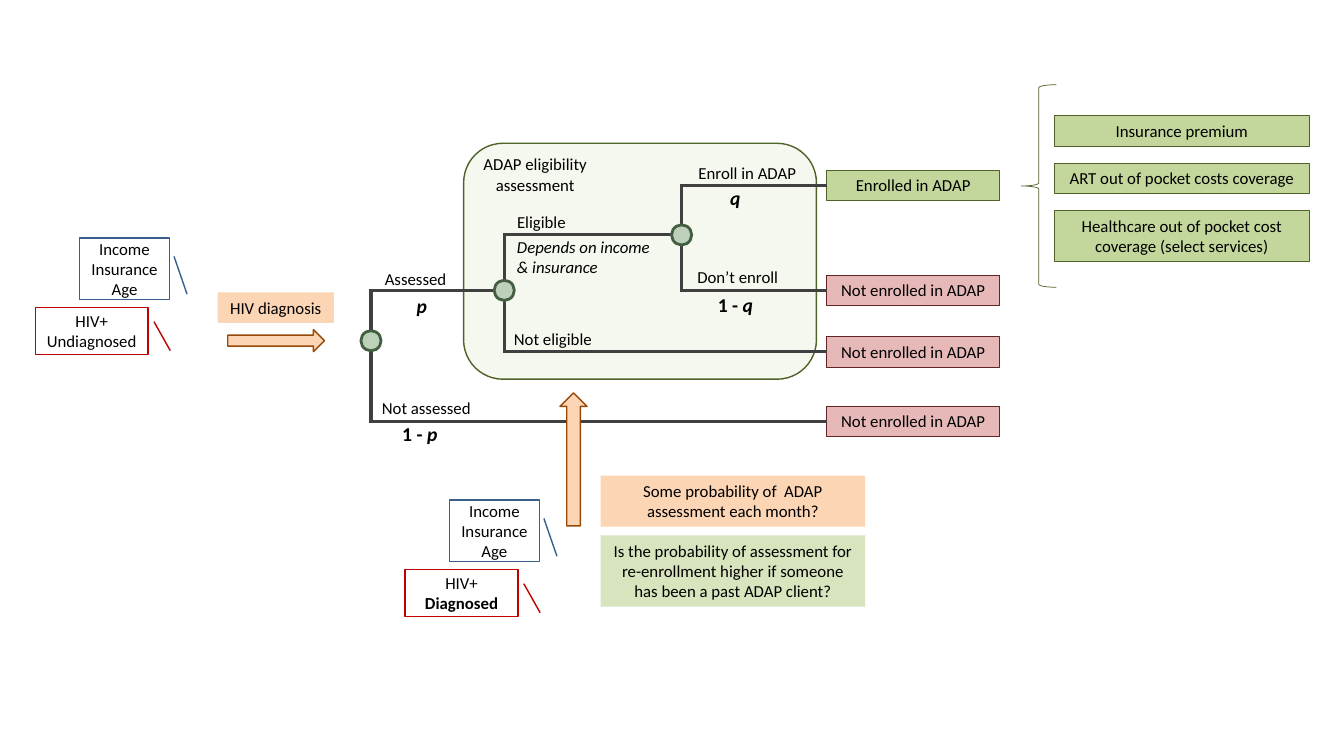
from lxml import etree
from pptx import Presentation
from pptx.dml.color import RGBColor
from pptx.enum import shapes, text
from pptx.oxml import ns
from pptx.util import Pt

THEME = {
    "font": "Calibri", "body": 12, "symbol": 14, "text": "000000",
    "branch": "404040", "branch_width": 2.25,
    # fill, line colour, line width
    "node": ("BCD0BA", "435E40", 2),
    "stage": ("D7E4BD", "4F6228", 1),
    "enrolled": ("C3D69B", "4F6228", 0.75),
    "not_enrolled": ("E6B9B8", "632523", 0.75),
    "arrow": ("FCD5B5", "984807", 1),
    "orange": ("FCD5B5", None, 0),
    "green": ("D7E4BD", None, 0),
    "traits": (None, "3A5F8C", 1),
    "status": (None, "C00000", 1),
    "brace": (None, "4F6228", 0.5),
}

# Content: a paragraph is a list of (words, style) runs, style from "b" and "i"
OUTCOMES = [  # words, style, middle y
    ("Enrolled in ADAP", "enrolled", 132.5),
    ("Not enrolled in ADAP", "not_enrolled", 207.4),
    ("Not enrolled in ADAP", "not_enrolled", 251.3),
    ("Not enrolled in ADAP", "not_enrolled", 301),
]
NODES = {"assess": (265, 243.4), "eligible": (360.2, 207.4), "enroll": (486.9, 167.8)}
BRANCHES = [  # from node, to node or outcome number
    ("assess", "eligible"), ("assess", 3),
    ("eligible", "enroll"), ("eligible", 2),
    ("enroll", 0), ("enroll", 1),
]
LABELS = [  # words, style, left, top, width
    ("Assessed", "", 267.8, 188.6, 99),
    ("Not assessed", "", 265.7, 280.8, 86),
    ("Eligible", "", 362.2, 147.6, 99),
    ("Not eligible", "", 360, 231.1, 86),
    ("Depends on income & insurance", "i", 362.2, 165.6, 113),
    ("Enroll in ADAP", "", 491.8, 113, 99),
    ("Don’t enroll", "", 491, 187.2, 86),
]
PROBABILITIES = [  # prefix, symbol, left, top
    ("", "p", 275, 206.6), ("1 - ", "p", 273.6, 298.1),
    ("", "q", 499, 129.6), ("1 - ", "q", 499, 205.9),
]
NOTES = [  # words, style, left, top, width, lines
    ("HIV diagnosis", "orange", 155.5, 208.8, 83, 1),
    ("Some probability of  ADAP assessment each month?", "orange", 429.1, 339.8, 188.9, 2),
    ("Is the probability of assessment for re-enrollment higher if someone "
     "has been a past ADAP client?", "green", 429.1, 382.4, 188.9, 3),
]
TRAITS = ["Income", "Insurance", "Age"]
PATIENTS = [  # status, style, shift right, shift down
    ("Undiagnosed", "", 0, 0), ("Diagnosed", "b", 264.2, 187.2),
]
BENEFITS = [("Insurance premium", 1), ("ART out of pocket costs coverage", 1),
            ("Healthcare out of pocket cost coverage (select services)", 2)]

LINE_HEIGHT, INSETS = 14.6, 7.2
NODE_SIZE = 14.4
OUTCOME_LEFT, OUTCOME_WIDTH = 590.4, 123.8
BENEFIT_LEFT, BENEFIT_TOP, BENEFIT_WIDTH, BENEFIT_GAP = 753.1, 82.8, 182.2, 12
CALLOUT_POINTER = (0.301, 1.052, 0.916, 1.197)

SHAPE = shapes.MSO_SHAPE
CENTER, LEFT = text.PP_ALIGN.CENTER, text.PP_ALIGN.LEFT
TOP, MIDDLE = text.MSO_ANCHOR.TOP, text.MSO_ANCHOR.MIDDLE

prs = Presentation()
prs.slide_width, prs.slide_height = Pt(960), Pt(540)
slide = prs.slides.add_slide(prs.slide_layouts[6])


def color(value):
    return RGBColor.from_string(value)


def height_of(lines):
    return lines * LINE_HEIGHT + INSETS


def write(shape, paragraphs, size="body", align=CENTER, anchor=TOP):
    frame = shape.text_frame
    frame.word_wrap = True
    frame.vertical_anchor = anchor
    for number, runs in enumerate(paragraphs):
        paragraph = frame.add_paragraph() if number else frame.paragraphs[0]
        paragraph.alignment = align
        for words, style in runs:
            run = paragraph.add_run()
            run.text = words
            run.font.name = THEME["font"]
            run.font.size = Pt(THEME[size])
            run.font.color.rgb = color(THEME["text"])
            run.font.bold = "b" in style
            run.font.italic = "i" in style


def draw(kind, style, left, top, width, height):
    shape = slide.shapes.add_shape(kind, Pt(left), Pt(top), Pt(width), Pt(height))
    shape.shadow.inherit = False
    fill, line, line_width = THEME[style]
    if fill:
        shape.fill.solid()
        shape.fill.fore_color.rgb = color(fill)
    else:
        shape.fill.background()
    if line:
        shape.line.color.rgb = color(line)
        shape.line.width = Pt(line_width)
    else:
        shape.line.fill.background()
    return shape


def label(paragraphs, left, top, width, height, **options):
    box = slide.shapes.add_textbox(Pt(left), Pt(top), Pt(width), Pt(height))
    write(box, paragraphs, **options)


def segment(x1, y1, x2, y2):
    line = slide.shapes.add_connector(
        shapes.MSO_CONNECTOR.STRAIGHT, Pt(x1), Pt(y1), Pt(x2), Pt(y2))
    line.line.color.rgb = color(THEME["branch"])
    line.line.width = Pt(THEME["branch_width"])
    etree.SubElement(line._element.spPr, ns.qn("a:effectLst"))
    return line


# Assessment stage, see-through
stage = draw(SHAPE.ROUNDED_RECTANGLE, "stage", 331.2, 102.4, 252, 168.5)
stage_color = stage.fill._xPr.find(ns.qn("a:solidFill"))[0]
etree.SubElement(stage_color, ns.qn("a:alpha")).set("val", "23000")
label([[("ADAP eligibility assessment", "")]], 331.2, 106.6, 102.2, height_of(2))

# Outcomes
outcomes = []
for words, style, middle in OUTCOMES:
    height = height_of(1)
    outcome = draw(SHAPE.RECTANGLE, style, OUTCOME_LEFT, middle - height / 2,
                   OUTCOME_WIDTH, height)
    write(outcome, [[(words, "")]])
    outcomes.append(outcome)

# Branches: up or down from a node, then right to the next step
for start, target in BRANCHES:
    x, y = NODES[start]
    if target in NODES:
        end_x, end_y = NODES[target]
        end_x -= NODE_SIZE / 2
    else:
        end_x, end_y = OUTCOME_LEFT, OUTCOMES[target][2]
    edge = y + NODE_SIZE / 2 * (1 if end_y > y else -1)
    riser = segment(x, edge, x, end_y)
    riser.line._get_or_add_ln().set("cap", "sq")
    run_out = segment(x, end_y, end_x, end_y)
    if target not in NODES:
        run_out.end_connect(outcomes[target], 1)

# Decision nodes
for x, y in NODES.values():
    draw(SHAPE.OVAL, "node", x - NODE_SIZE / 2, y - NODE_SIZE / 2, NODE_SIZE, NODE_SIZE)

# Branch labels and probabilities
for words, style, left, top, width in LABELS:
    label([[(words, style)]], left, top, width, height_of(1), align=LEFT)
for prefix, symbol, left, top in PROBABILITIES:
    runs = [(prefix, "b")] if prefix else []
    label([runs + [(symbol, "bi")]], left, top, 52.6, 24.2, size="symbol")

# Notes
for words, style, left, top, width, lines in NOTES:
    note = draw(SHAPE.RECTANGLE, style, left, top, width, height_of(lines))
    write(note, [[(words, "")]])

# Patient callouts
for status, weight, right, down in PATIENTS:
    for style, paragraphs, left, top, width, height in (
        ("traits", [[(trait, "")] for trait in TRAITS], 56.9, 169.9, 64.1, 43.9),
        ("status", [[("HIV+", "")], [(status, weight)]], 25.2, 219.6, 80.6, 33.8),
    ):
        callout = draw(SHAPE.LINE_CALLOUT_1, style, left + right, top + down, width, height)
        for number, value in enumerate(CALLOUT_POINTER):
            callout.adjustments[number] = value
        write(callout, paragraphs, anchor=MIDDLE)

# Benefits of enrolling
benefit_top = BENEFIT_TOP
for words, lines in BENEFITS:
    benefit = draw(SHAPE.RECTANGLE, "enrolled", BENEFIT_LEFT, benefit_top,
                   BENEFIT_WIDTH, height_of(lines))
    write(benefit, [[(words, "")]])
    benefit_top += height_of(lines) + BENEFIT_GAP
draw(SHAPE.LEFT_BRACE, "brace", 729.4, 60.5, 25.2, 144.7)

# Entry arrows
draw(SHAPE.RIGHT_ARROW, "arrow", 162.7, 235.4, 69.1, 15.8)
reassessment = draw(SHAPE.RIGHT_ARROW, "arrow", 362.2, 318.4, 95, 19.4)
reassessment.rotation = 270

prs.save("out.pptx")
